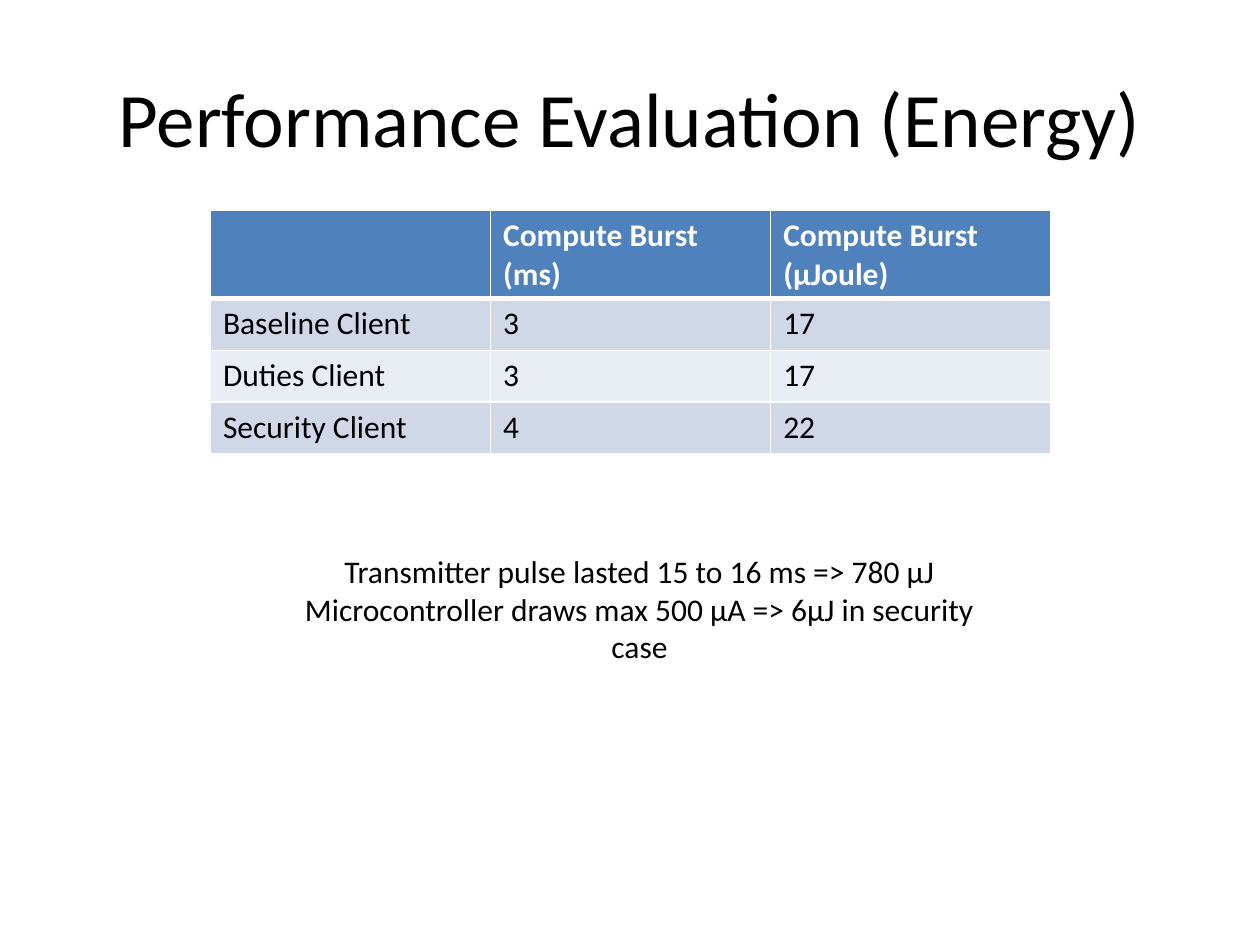
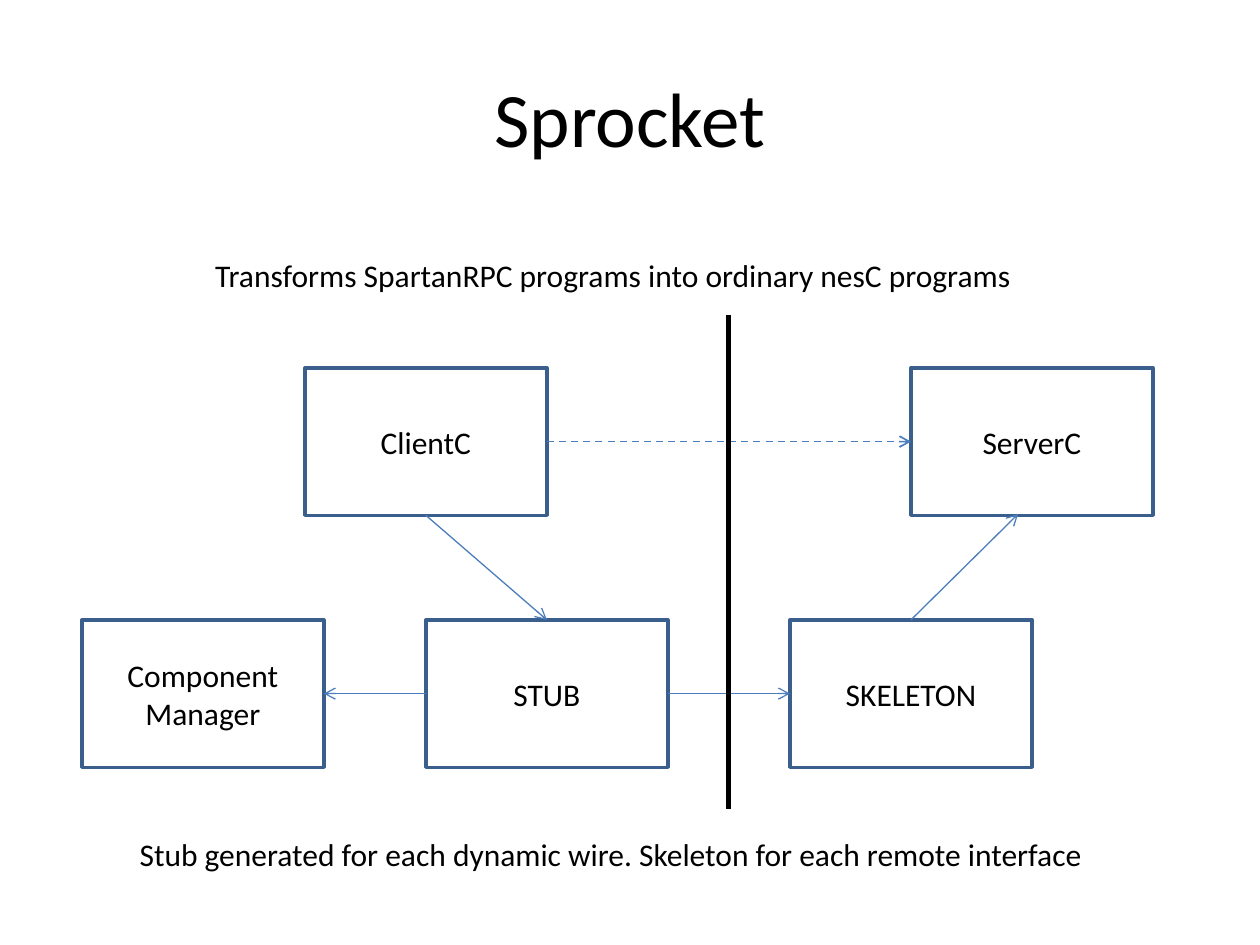
from dataclasses import dataclass

from lxml import etree
from pptx import Presentation
from pptx.dml.color import RGBColor
from pptx.enum import dml, shapes, text
from pptx.oxml import ns
from pptx.util import Inches, Pt


@dataclass(frozen=True)
class Theme:
    font: str = "Calibri"
    title_size: int = 44
    body_size: int = 18
    ink: str = "000000"
    paper: str = "FFFFFF"
    header: str = "4F81BD"
    bands: tuple = ("D0D8E8", "E9EDF4")
    box_line: str = "3A5F8C"
    arrow: str = "4B7EBC"


THEME = Theme()
TOP, LEFT, BOTTOM, RIGHT = range(4)  # connection sites of a rectangle


def color(code):
    return RGBColor.from_string(code)


def write(frame, content, size=THEME.body_size, ink=THEME.ink, bold=False,
          align=text.PP_ALIGN.LEFT, anchor=text.MSO_ANCHOR.TOP, wrap=True):
    """Fill a text frame, one paragraph for each line of content."""
    frame.word_wrap = wrap
    frame.vertical_anchor = anchor
    for i, line in enumerate(content.split("\n")):
        paragraph = frame.paragraphs[0] if i == 0 else frame.add_paragraph()
        paragraph.alignment = align
        run = paragraph.add_run()
        run.text = line
        run.font.name, run.font.size, run.font.bold = THEME.font, Pt(size), bold
        run.font.color.rgb = color(ink)


class Deck:
    def __init__(self, theme):
        self.theme = theme
        self.file = Presentation()
        self.file.slide_width, self.file.slide_height = Inches(10), Inches(7.5)
        self.slide = None

    def new_slide(self, title):
        self.slide = self.file.slides.add_slide(self.file.slide_layouts[6])
        self.label(title, 0.5, 0.3, 9, 1.25, size=self.theme.title_size, wrap=True,
                   align=text.PP_ALIGN.CENTER, anchor=text.MSO_ANCHOR.MIDDLE)

    def label(self, content, x, y, width, height=0.4, wrap=False, **style):
        area = self.slide.shapes.add_textbox(*map(Inches, (x, y, width, height)))
        write(area.text_frame, content, wrap=wrap, **style)

    def box(self, content, x, y, width=1.92, height=1.17):
        box = self.slide.shapes.add_shape(shapes.MSO_SHAPE.RECTANGLE,
                                          *map(Inches, (x, y, width, height)))
        box.shadow.inherit = False
        box.fill.solid()
        box.fill.fore_color.rgb = color(self.theme.paper)
        box.line.color.rgb = color(self.theme.box_line)
        box.line.width = Pt(2)
        write(box.text_frame, content, align=text.PP_ALIGN.CENTER,
              anchor=text.MSO_ANCHOR.MIDDLE)
        return box

    def line(self, start, end, ink, width, dashed=False, arrow=False):
        """Each end is a (box, site) pair or an (x, y) point in inches."""
        glued = [hasattr(place[0], "shape_id") for place in (start, end)]
        points = [(0, 0) if glue else place
                  for glue, place in zip(glued, (start, end))]
        line = self.slide.shapes.add_connector(
            shapes.MSO_CONNECTOR.STRAIGHT, *map(Inches, points[0] + points[1]))
        if glued[0]:
            line.begin_connect(*start)
        if glued[1]:
            line.end_connect(*end)
        line.line.color.rgb = color(ink)
        line.line.width = Pt(width)
        if dashed:
            line.line.dash_style = dml.MSO_LINE.DASH
        if arrow:
            etree.SubElement(line.line._get_or_add_ln(), ns.qn("a:tailEnd"), type="arrow")
        etree.SubElement(line._element.spPr, ns.qn("a:effectLst"))

    def border(self, cell, sides):
        """Draw white cell borders; sides maps a side's tag to its width."""
        properties = cell._tc.get_or_add_tcPr()
        for i, (side, width) in enumerate(sides.items()):
            edge = etree.Element(ns.qn(f"a:{side}"), w=str(Pt(width)))
            fill = etree.SubElement(edge, ns.qn("a:solidFill"))
            etree.SubElement(fill, ns.qn("a:srgbClr"), val=self.theme.paper)
            properties.insert(i, edge)

    def table(self, rows, x, y, width, heights):
        table = self.slide.shapes.add_table(
            len(rows), len(rows[0]),
            *map(Inches, (x, y, width, sum(heights)))).table
        for r, values in enumerate(rows):
            table.rows[r].height = Inches(heights[r])
            head = r == 0
            for c, value in enumerate(values):
                cell = table.cell(r, c)
                cell.fill.solid()
                cell.fill.fore_color.rgb = color(
                    self.theme.header if head else self.theme.bands[(r - 1) % 2])
                self.border(cell, {"lnL": 1, "lnR": 1, "lnT": 3 if r == 1 else 1,
                                   "lnB": 3 if head else 1})
                if value:
                    write(cell.text_frame, value, bold=head,
                          ink=self.theme.paper if head else self.theme.ink)


deck = Deck(THEME)

# Slide 1: energy measurements
deck.new_slide("Performance Evaluation (Energy)")
deck.table([("", "Compute Burst (ms)", "Compute Burst (μJoule)"),
            ("Baseline Client", "3", "17"),
            ("Duties Client", "3", "17"),
            ("Security Client", "4", "22")],
           1.67, 1.67, 6.67, [0.7, 0.41, 0.41, 0.41])
deck.label("Transmitter pulse lasted 15 to 16 ms => 780 μJ\n"
           "Microcontroller draws max 500 μA => 6μJ in security case",
           2.1, 4.33, 5.95, 0.71, align=text.PP_ALIGN.CENTER)

# Slide 2: how a remote call is rewritten
deck.new_slide("Sprocket")
deck.label("Transforms SpartanRPC programs into ordinary nesC programs", 1.61, 1.98, 6.58)

# Components: source level above, generated code below
upper, lower = 2.92, 4.92
server = deck.box("ServerC", 7.23, upper)
stub = deck.box("STUB", 3.38, lower)
skeleton = deck.box("SKELETON", 6.27, lower)
manager = deck.box("Component\nManager", 0.65, lower)
client = deck.box("ClientC", 2.42, upper)

# Calls between components
deck.line((client, RIGHT), (server, LEFT), THEME.arrow, 1, dashed=True, arrow=True)
for start, end in [((client, BOTTOM), (stub, TOP)),
                   ((stub, RIGHT), (skeleton, LEFT)),
                   ((skeleton, TOP), (8.08, 4.08)),
                   ((stub, LEFT), (manager, RIGHT))]:
    deck.line(start, end, THEME.arrow, 0.75, arrow=True)

deck.label("Stub generated for each dynamic wire. Skeleton for each remote interface",
           1.01, 6.58, 7.77)

# Boundary between the two nodes
deck.line((5.78, 2.5), (5.78, 6.42), THEME.ink, 3)

deck.file.save("out.pptx")
